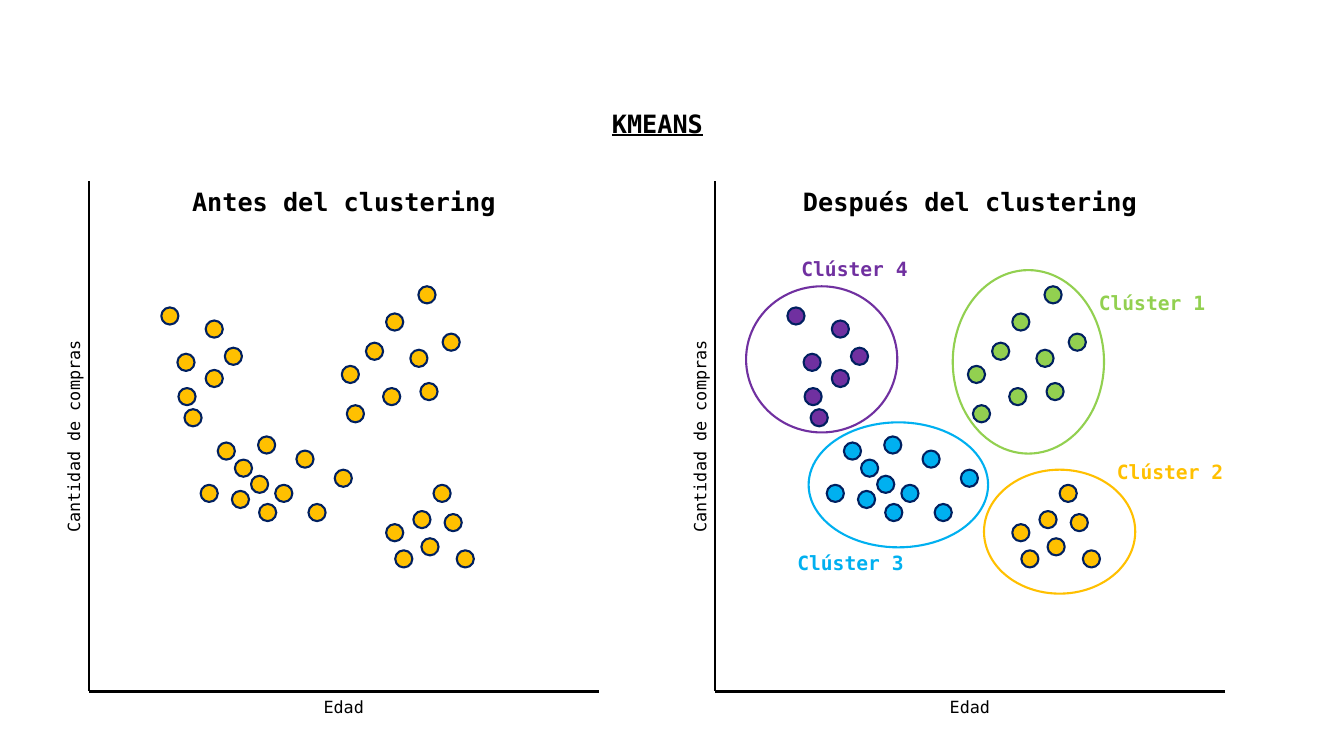
from lxml.etree import SubElement
from pptx import Presentation
from pptx.dml.color import RGBColor
from pptx.enum.shapes import MSO_CONNECTOR as Connector, MSO_SHAPE as Shape
from pptx.enum.text import MSO_AUTO_SIZE as AutoSize, PP_ALIGN as Align
from pptx.oxml.ns import qn
from pptx.util import Emu, Pt

BLACK = RGBColor(0x00, 0x00, 0x00)
NAVY = RGBColor(0x00, 0x20, 0x60)
GREEN = RGBColor(0x92, 0xD0, 0x50)
AMBER = RGBColor(0xFF, 0xC0, 0x00)
BLUE = RGBColor(0x00, 0xB0, 0xF0)
PURPLE = RGBColor(0x70, 0x30, 0xA0)

EMU_PER_PX = 9144
DOT_SIZE = 17
PLOT_SIZE = 506
PLOT_TOP = 180
BEFORE_LEFT = 88
PLOT_SHIFT = 621

CLUSTERS = [
    ("Clúster 1", GREEN, (945, 268, 150, 182), (1080, 284),
     [(415, 284), (383, 311), (407, 347), (339, 363), (380, 385),
      (417, 380), (363, 340), (439, 331), (344, 402)]),
    ("Clúster 2", AMBER, (976, 466, 150, 123), (1098, 451),
     [(410, 507), (383, 520), (430, 481), (392, 546), (453, 546),
      (418, 534), (441, 510)]),
    ("Clúster 3", BLUE, (802, 419, 178, 124), (781, 542),
     [(294, 447), (199, 481), (230, 487), (256, 433), (273, 481),
      (306, 500), (216, 439), (233, 456), (249, 472), (257, 500),
      (332, 466)]),
    ("Clúster 4", PURPLE, (740, 284, 150, 145), (785, 250),
     [(160, 305), (204, 318), (176, 351), (177, 385), (204, 367),
      (223, 345), (183, 406)]),
]


def px(value):
    return Emu(value * EMU_PER_PX)


class Diagram:
    font_name = "DejaVu Sans Mono"
    line_width = Pt(1.5)

    def __init__(self, slide):
        self.slide = slide

    def line(self, x1, y1, x2, y2):
        connector = self.slide.shapes.add_connector(
            Connector.STRAIGHT, px(x1), px(y1), px(x2), px(y2))
        connector.line.color.rgb = BLACK
        connector.line.width = self.line_width
        SubElement(connector._element.spPr, qn("a:effectLst"))

    def ellipse(self, left, top, width, height, outline, fill=None):
        shape = self.slide.shapes.add_shape(
            Shape.OVAL, px(left), px(top), px(width), px(height))
        shape.shadow.inherit = False
        shape.line.color.rgb = outline
        shape.line.width = self.line_width
        if fill is None:
            shape.fill.background()
        else:
            shape.fill.solid()
            shape.fill.fore_color.rgb = fill

    def text(self, left, top, width, height, words, size, color=BLACK,
             bold=False, underline=False, align=Align.CENTER, rotation=0):
        box = self.slide.shapes.add_textbox(
            px(left), px(top), px(width), px(height))
        box.rotation = rotation
        frame = box.text_frame
        frame.word_wrap = True
        frame.auto_size = AutoSize.SHAPE_TO_FIT_TEXT
        paragraph = frame.paragraphs[0]
        paragraph.text = words
        paragraph.alignment = align
        font = paragraph.font
        font.name = self.font_name
        font.size = Pt(size)
        font.color.rgb = color
        font.bold = bold
        font.underline = underline

    def plot(self, left, title):
        bottom = PLOT_TOP + PLOT_SIZE
        self.line(left, PLOT_TOP, left, bottom)
        self.line(left + PLOT_SIZE, bottom, left, bottom)
        self.text(left, PLOT_TOP, PLOT_SIZE, 40, title, 18, bold=True)
        self.text(left, bottom, PLOT_SIZE, 30, "Edad", 12)
        self.text(left - 268, 418, PLOT_SIZE, 30, "Cantidad de compras", 12,
                  rotation=270)

    def dots(self, points, shift, fill):
        for left, top in points:
            self.ellipse(left + shift, top, DOT_SIZE, DOT_SIZE, NAVY, fill)


def main():
    presentation = Presentation()
    presentation.slide_width = px(1333)
    presentation.slide_height = px(750)
    slide = presentation.slides.add_slide(presentation.slide_layouts[6])
    diagram = Diagram(slide)

    diagram.text(88, 103, 1128, 40, "KMEANS", 18, bold=True, underline=True)
    diagram.plot(BEFORE_LEFT, "Antes del clustering")
    diagram.plot(BEFORE_LEFT + PLOT_SHIFT, "Después del clustering")

    for name, color, outline, label, points in CLUSTERS:
        diagram.dots(points, 0, AMBER)
        diagram.dots(points, PLOT_SHIFT, color)
        diagram.ellipse(*outline, color)
        diagram.text(*label, 133, 34, name, 14, color, bold=True,
                     align=Align.LEFT)

    presentation.save("out.pptx")


if __name__ == "__main__":
    main()
